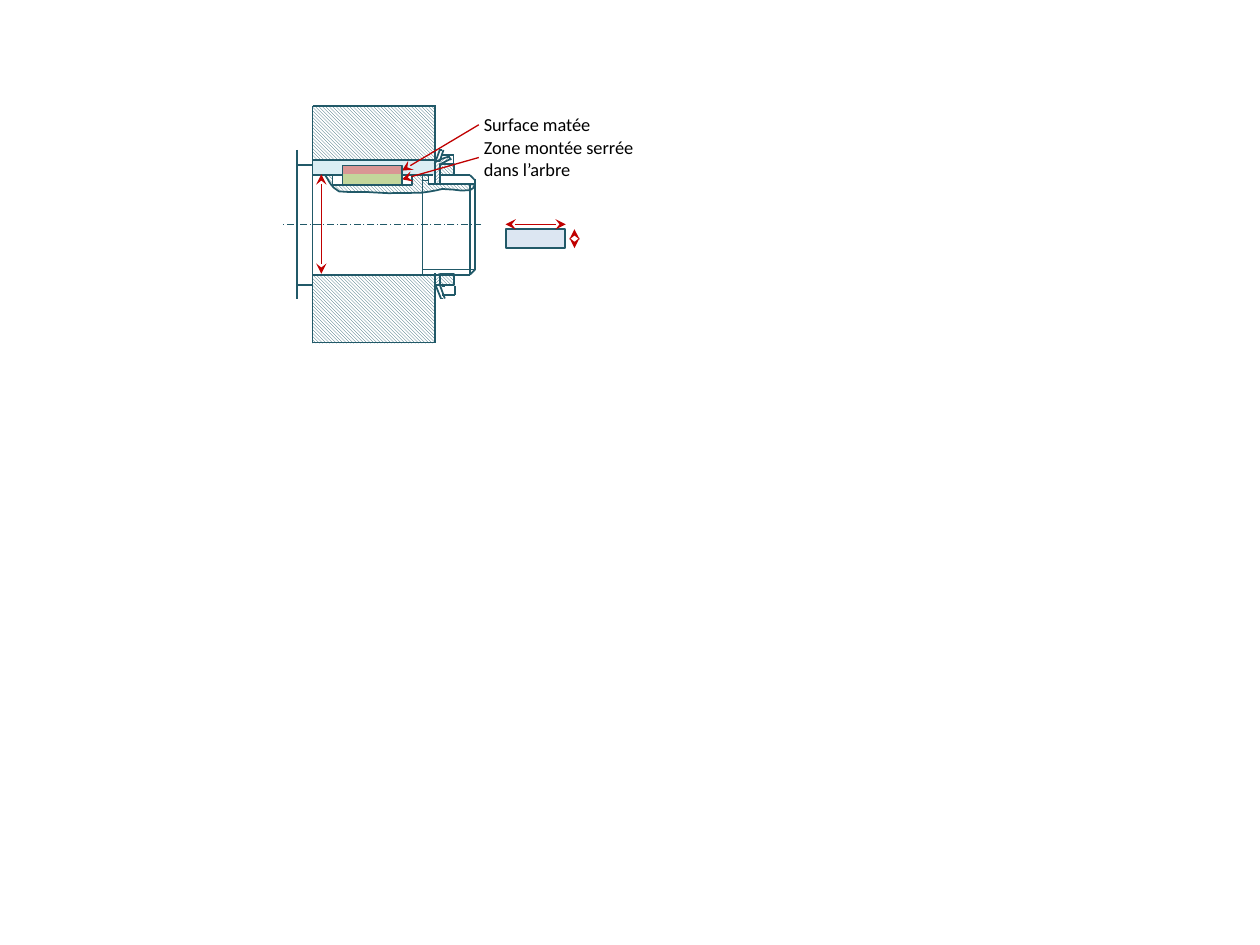
from pptx import Presentation
from pptx.util import Pt
from pptx.dml.color import RGBColor
from pptx.enum.dml import MSO_LINE, MSO_PATTERN
from pptx.enum.shapes import MSO_CONNECTOR, MSO_SHAPE
from pptx.enum.text import MSO_AUTO_SIZE
from pptx.oxml.ns import qn
from lxml.etree import SubElement

TEAL, RED, WHITE = "215968", "C00000", "FFFFFF"
DOWN = MSO_PATTERN.LIGHT_DOWNWARD_DIAGONAL
UP = MSO_PATTERN.LIGHT_UPWARD_DIAGONAL
rgb = RGBColor.from_string

deck = Presentation()
deck.slide_width, deck.slide_height = Pt(720), Pt(540)
shapes = deck.slides.add_slide(deck.slide_layouts[6]).shapes


def paint(shape, fill=None, edge=None):
    """Fill with a colour, a hatch pattern or nothing, and set the outline."""
    shape.shadow.inherit = False
    if fill is None:
        shape.fill.background()
    elif isinstance(fill, str):
        shape.fill.solid()
        shape.fill.fore_color.rgb = rgb(fill)
    else:
        shape.fill.patterned()
        shape.fill.pattern = fill
        shape.fill.fore_color.rgb = rgb(TEAL)
        shape.fill.back_color.rgb = rgb(WHITE)
    if edge:
        shape.line.color.rgb = rgb(edge)
        shape.line.width = Pt(1)
    else:
        shape.line.fill.background()
    return shape


def draw(x1, y1, x2, y2, width=1, color=TEAL, heads=()):
    """Straight line with optional stealth heads at its ends."""
    link = shapes.add_connector(MSO_CONNECTOR.STRAIGHT, Pt(x1), Pt(y1), Pt(x2), Pt(y2))
    link.line.color.rgb = rgb(color)
    link.line.width = Pt(width)
    for end in heads:
        SubElement(link.line._get_or_add_ln(), qn("a:" + end), type="stealth")
    SubElement(link._element.spPr, qn("a:effectLst"))
    return link


# Local section of the shaft, with its wavy break line
wave = [(187.2, 102.2), (188, 103.7), (189.4, 105.8), (190.8, 107.3),
        (193.7, 109.4), (200, 109.8), (210.2, 109.8), (217.4, 110.2),
        (222, 110.4), (240.5, 110.2), (245.5, 109.5), (249.8, 108.7),
        (252.7, 108), (259.2, 108.4), (263.5, 108.9), (268.6, 108.7),
        (270.7, 107.3), (271.1, 105.8), (271.4, 102.2), (271.4, 100.1)]
pen = shapes.build_freeform(Pt(185.8), Pt(100.1))
pen.add_line_segments([(Pt(x), Pt(y)) for x, y in wave], close=False)
paint(pen.convert_to_shape(), DOWN, TEAL)

# Hub, washer, nut, keyway and key blank: left, top, width, height
areas = [
    (244.8, 98.6, 30.2, 6.5, WHITE, None),
    (249.1, 156.2, 3.6, 7.2, UP, None),
    (248.4, 92.2, 2.9, 12.2, UP, None),
    (190.1, 100.1, 45.3, 5.6, WHITE, TEAL),
    (178.6, 91.4, 69.8, 8, "DBEEF4", "DBEEF4"),
    (178.6, 61.2, 69.8, 30.2, DOWN, None),
    (178.6, 157, 69.8, 39.2, DOWN, None),
    (251.3, 93.6, 8.3, 6.5, DOWN, TEAL),
    (251.5, 156.5, 8, 6.2, DOWN, TEAL),
    (289.3, 131, 33.8, 10.8, "DCE6F2", TEAL),
]
for x, y, w, h, fill, edge in areas:
    paint(shapes.add_shape(MSO_SHAPE.RECTANGLE, Pt(x), Pt(y), Pt(w), Pt(h)), fill, edge)

# Bent tab of the lock washer
tab = shapes.add_shape(MSO_SHAPE.RECTANGLE, Pt(253.4), Pt(88.6), Pt(1.7), Pt(5.8))
paint(tab, UP).rotation = 66.6

# Visible edges
edges = [
    # hub and collar
    (178.6, 100.1, 247.7, 100.1), (178.6, 157, 268.6, 157),
    (178.6, 94.3, 178.6, 162), (169.9, 94.3, 178.6, 94.3),
    (169.9, 162.7, 178.6, 162.7), (169.9, 85.7, 169.9, 170.6),
    (178.6, 91.4, 248.4, 91.4), (178.6, 100.1, 178.6, 60.5),
    (248.4, 100.1, 248.4, 59.8), (178.6, 60.5, 248.4, 60.5),
    (178.6, 195.8, 178.6, 157), (178.6, 195.8, 249.1, 195.8),
    (248.6, 195.8, 248.6, 156.2),
    # shaft end
    (268.6, 100.1, 271.4, 103), (244.8, 105.1, 244.8, 100.1),
    (271.4, 105.1, 244.8, 105.1), (268.6, 105.1, 268.6, 157),
    (268.6, 157, 271.4, 154.1), (271.4, 102.2, 271.4, 154.1),
    (268.6, 100.1, 258.5, 100.1),
    # upper washer and nut
    (251.3, 85.7, 248.4, 93.6), (253.4, 93.6, 252, 93.6),
    (257.8, 90.7, 252, 93.6), (259.2, 93.6, 259.2, 88.6),
    (257, 89.3, 250.6, 91.4), (257.8, 91.4, 256.3, 89.3),
    (248.4, 105.1, 248.4, 93.6), (251.3, 105.1, 251.3, 93.6),
    (253.4, 85.7, 251.3, 92.2), (252.7, 85.7, 250.6, 85.7),
    (252.7, 88.6, 259.2, 88.6), (251.3, 92.2, 249.1, 92.2),
    # lower washer and nut
    (252, 170.6, 249.1, 163.4), (254.2, 163.4, 252.7, 163.4),
    (259.9, 163.4, 259.9, 168.5), (254.2, 170.6, 251.3, 162.7),
    (253.4, 170.6, 251.3, 170.6), (252.7, 168.5, 259.9, 168.5),
    (252, 162.7, 248.4, 162.7),
]
for edge in edges:
    draw(*edge)

# Thread root and centre line
for thin in [(241.2, 100.1, 241.2, 157), (241.2, 103, 244.8, 103),
             (241.2, 154.1, 271.4, 154.1)]:
    draw(*thin, width=0.5)
draw(275, 128.2, 161.3, 128.2, width=0.5).line.dash_style = MSO_LINE.LONG_DASH_DOT

# Key: worn upper face, fitted lower zone, and their captions
zones = [
    (95, 5, "D99694", 71.3, 61.2, 88.6, 20.2, "Surface matée"),
    (99.5, 6, "C3D69B", 90, 74.2, 97.9, 32.4, "Zone montée serrée dans l’arbre"),
]
for top, high, fill, start, y, w, h, words in zones:
    zone = shapes.add_shape(MSO_SHAPE.RECTANGLE, Pt(195.8), Pt(top), Pt(33.9), Pt(high))
    paint(zone, fill)
    draw(273.6, start, 229.7, top + high / 2, 0.75, RED, ["tailEnd"]).end_connect(zone, 3)
    box = shapes.add_textbox(Pt(273.6), Pt(y), Pt(w), Pt(h))
    frame = box.text_frame
    frame.word_wrap = True
    frame.auto_size = MSO_AUTO_SIZE.SHAPE_TO_FIT_TEXT
    frame.margin_left = Pt(2.9)
    para = frame.paragraphs[0]
    para.text = words
    para.font.name, para.font.size = "Calibri", Pt(10.5)
    para.font.color.rgb = rgb("000000")
paint(shapes.add_shape(MSO_SHAPE.RECTANGLE, Pt(195.8), Pt(94.5), Pt(33.9), Pt(11.2)), None, TEAL)

# Dimension arrows
for span in [(323.3, 128.2, 288.9, 128.2), (328.3, 131, 328.3, 141.8),
             (183.6, 156.5, 183.6, 99.6)]:
    draw(*span, width=0.75, color=RED, heads=["headEnd", "tailEnd"])

deck.save("out.pptx")
